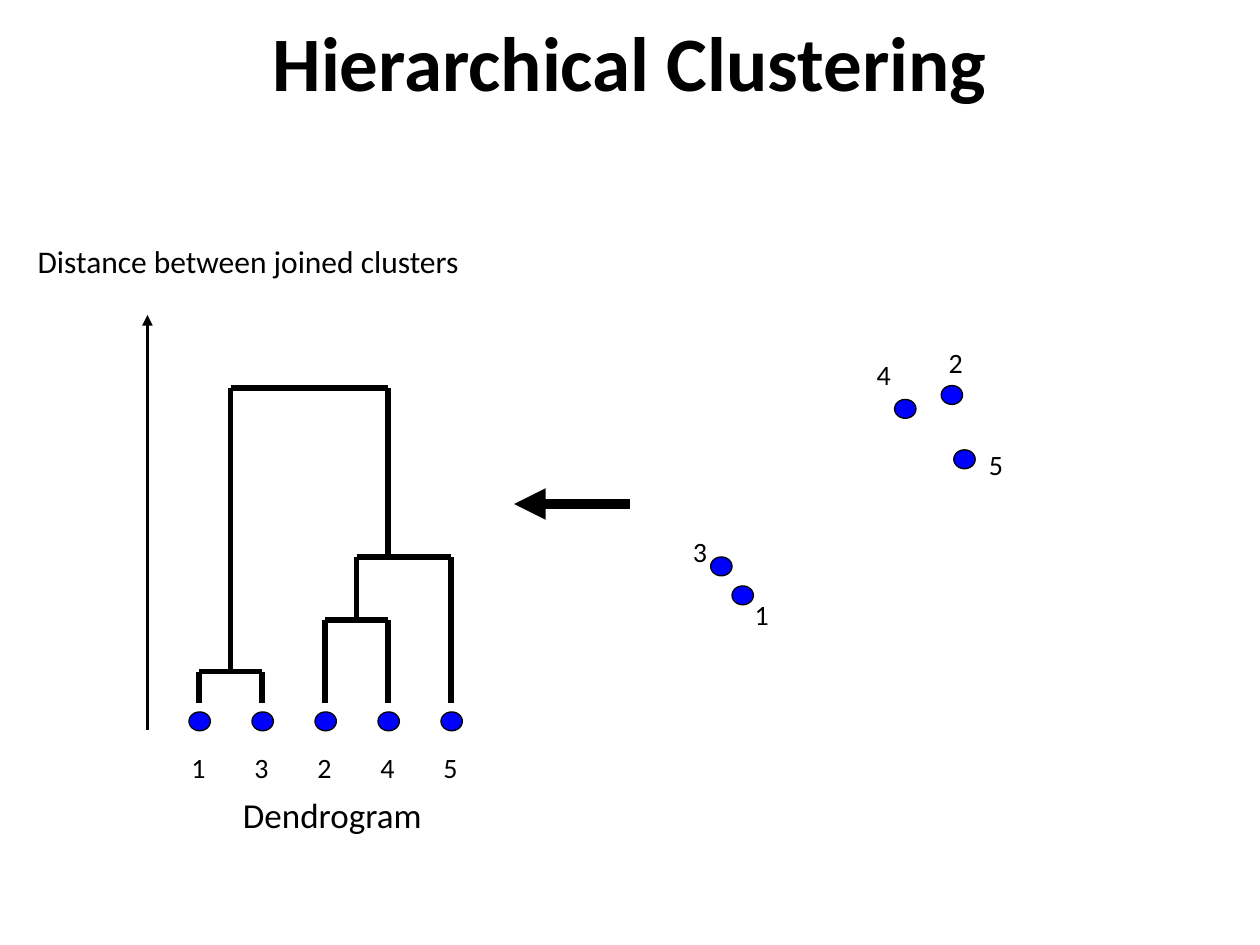
from lxml.etree import SubElement
from pptx import Presentation
from pptx.dml.color import RGBColor
from pptx.enum.shapes import MSO_CONNECTOR, MSO_SHAPE
from pptx.enum.text import MSO_ANCHOR, PP_ALIGN
from pptx.oxml.ns import qn
from pptx.util import Inches, Pt

COLORS = {"ink": "000000", "dot": "0000FF", "paper": "FFFFFF"}
FONT = "Calibri"


def color(name):
    return RGBColor.from_string(COLORS[name])


def write(frame, text, size=16, bold=False, align=PP_ALIGN.LEFT, anchor=MSO_ANCHOR.TOP):
    frame.word_wrap = True
    frame.vertical_anchor = anchor
    frame.margin_left = frame.margin_right = Inches(0.1)
    frame.margin_top = frame.margin_bottom = Inches(0.05)
    para = frame.paragraphs[0]
    para.alignment = align
    span = para.add_run()
    span.text = text
    span.font.name = FONT
    span.font.size = Pt(size)
    span.font.bold = bold
    span.font.color.rgb = color("ink")


class Sketch:
    def __init__(self, page):
        self.page = page
        page.background.fill.solid()
        page.background.fill.fore_color.rgb = color("paper")

    def title(self, text, left, top, width, height):
        box = self.page.shapes.title
        box.left, box.top = Inches(left), Inches(top)
        box.width, box.height = Inches(width), Inches(height)
        write(box.text_frame, text, size=44, bold=True,
              align=PP_ALIGN.CENTER, anchor=MSO_ANCHOR.MIDDLE)

    def text(self, text, left, top, width=0.32, height=0.37, **style):
        box = self.page.shapes.add_textbox(
            Inches(left), Inches(top), Inches(width), Inches(height))
        write(box.text_frame, text, **style)

    def dot(self, left, top):
        dot = self.page.shapes.add_shape(
            MSO_SHAPE.OVAL, Inches(left), Inches(top), Inches(0.17), Inches(0.15))
        dot.shadow.inherit = False
        dot.fill.solid()
        dot.fill.fore_color.rgb = color("dot")
        dot.line.color.rgb = color("ink")
        dot.line.width = Pt(0.75)

    def line(self, start, end, weight=3, arrow=False):
        line = self.page.shapes.add_connector(
            MSO_CONNECTOR.STRAIGHT, *map(Inches, start + end))
        line.line.color.rgb = color("ink")
        line.line.width = Pt(weight)
        if arrow:
            SubElement(line.line._get_or_add_ln(), qn("a:tailEnd"), type="triangle")
        SubElement(line._element.spPr, qn("a:effectLst"))

    def join(self, left, right, height):
        (left_x, left_y), (right_x, right_y) = left, right
        self.line((left_x, left_y), (left_x, height))
        self.line((right_x, right_y), (right_x, height))
        self.line((left_x, height), (right_x, height))
        return (left_x + right_x) / 2, height


deck = Presentation()
deck.slide_width, deck.slide_height = Inches(10), Inches(7.5)
sketch = Sketch(deck.slides.add_slide(deck.slide_layouts[5]))
sketch.title("Hierarchical Clustering", 0, 0.12, 10, 0.72)

POINTS = {
    "2": ((7.47, 3.06), (7.43, 2.69)),
    "4": ((7.1, 3.17), (6.86, 2.79)),
    "5": ((7.57, 3.57), (7.75, 3.5)),
    "1": ((5.81, 4.65), (5.89, 4.69)),
    "3": ((5.64, 4.42), (5.4, 4.19)),
}
for name, (dot_at, label_at) in POINTS.items():
    sketch.dot(*dot_at)
    sketch.text(name, *label_at)

leaves = {}
for index, name in enumerate("13245"):
    x = 1.58 + 0.5 * index
    leaves[name] = (x, 5.58)
    sketch.dot(x - 0.08, 5.65)
    sketch.text(name, x - 0.16, 5.91)

pair_13 = sketch.join(leaves["1"], leaves["3"], 5.33)
pair_24 = sketch.join(leaves["2"], leaves["4"], 4.92)
_, trio_height = sketch.join(pair_24, leaves["5"], 4.42)
sketch.join(pair_13, (leaves["4"][0], trio_height), 3.08)

sketch.line((1.17, 5.79), (1.17, 2.5), weight=2, arrow=True)
sketch.line((5, 4), (4.08, 4), weight=6, arrow=True)
sketch.text("Distance between joined clusters", 0.2, 1.87, 3.86, 0.4, size=18)
sketch.text("Dendrogram", 1.83, 6.25, 1.74, 0.43, size=20)

deck.save("out.pptx")
